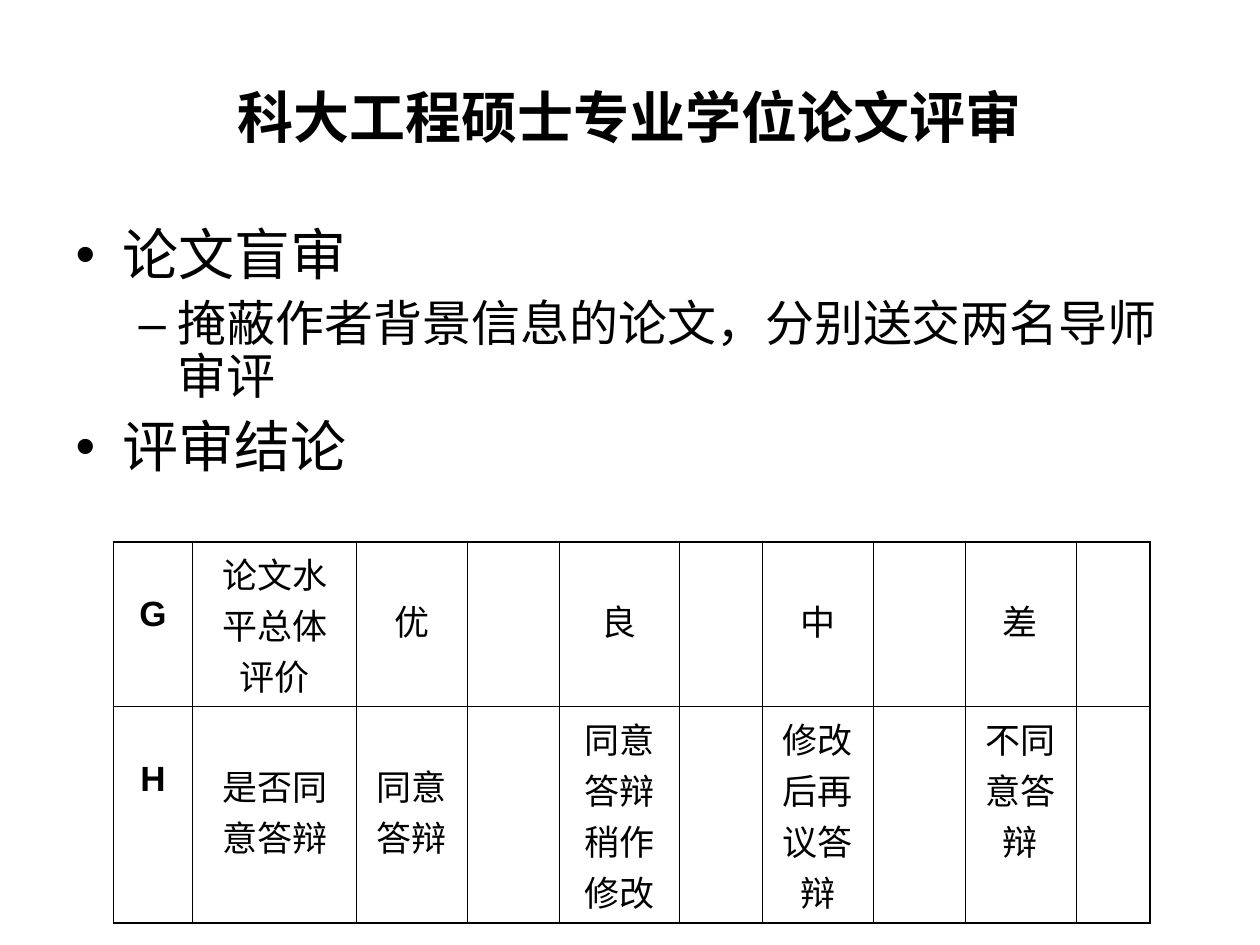
from dataclasses import dataclass

from lxml.etree import SubElement
from pptx import Presentation
from pptx.dml.color import RGBColor
from pptx.enum.text import MSO_ANCHOR, PP_ALIGN
from pptx.oxml.ns import qn
from pptx.util import Inches, Pt


@dataclass(frozen=True)
class Theme:
    font: str = "Arial"
    ink: str = "000000"
    title: int = 32
    levels: tuple = (32, 28)
    level_gaps: tuple = (8, 7)
    cell: int = 20
    outer: float = 1.08
    inner: float = 0.45


THEME = Theme()
BODY = [
    (0, "论文盲审"),
    (1, "掩蔽作者背景信息的论文，分别送交两名导师审评"),
    (0, "评审结论"),
]
COL_WIDTHS = [0.63, 1.3, 0.88, 0.73, 0.95, 0.66, 0.88, 0.73, 0.88, 0.59]
ROW_HEIGHTS = [1.1, 1.51]
REVIEW_ROWS = [
    ["G", "论文水平总体评价", "优", "", "良", "", "中", "", "差", ""],
    ["H", "是否同意答辩", "同意答辩", "", "同意答辩稍作修改", "",
     "修改后再议答辩", "", "不同意答辩", ""],
]
LOWERED = {(0, 0), (0, 2), (0, 4), (0, 6), (0, 8), (1, 0), (1, 1), (1, 2)}
PAD, LOWERED_PAD = 0.05, 0.42


def set_attrs(obj, values):
    for name, value in values.items():
        setattr(obj, name, value)


def place(sp, left, top, width, height):
    set_attrs(sp, {"left": Inches(left), "top": Inches(top),
                   "width": Inches(width), "height": Inches(height)})


def add_text(p, text, size, bold=False):
    r = p.add_run()
    r.text = text
    set_attrs(r.font, {"name": THEME.font, "size": Pt(size), "bold": bold})
    r.font.color.rgb = RGBColor.from_string(THEME.ink)


def add_title(s, text):
    sp = s.shapes.title
    place(sp, 0.5, 0.3, 9, 1.25)
    tf = sp.text_frame
    tf.vertical_anchor = MSO_ANCHOR.MIDDLE
    p = tf.paragraphs[0]
    p.alignment = PP_ALIGN.CENTER
    add_text(p, text, THEME.title, bold=True)


def add_body(s, items):
    sp = s.placeholders[1]
    place(sp, 0.5, 1.75, 9, 2.24)
    tf = sp.text_frame
    for i, (level, text) in enumerate(items):
        p = tf.add_paragraph() if i else tf.paragraphs[0]
        set_attrs(p, {"level": level, "line_spacing": 0.9,
                      "space_before": Pt(THEME.level_gaps[level])})
        add_text(p, text, THEME.levels[level])


def set_borders(cell, outer_sides):
    tcPr = cell._tc.get_or_add_tcPr()
    for side in "LRTB":
        width = THEME.outer if side in outer_sides else THEME.inner
        ln = SubElement(tcPr, qn(f"a:ln{side}"), w=str(Pt(width)))
        fill = SubElement(ln, qn("a:solidFill"))
        SubElement(fill, qn("a:srgbClr"), val=THEME.ink)


def fill_cell(cell, text, lowered, bold):
    set_attrs(cell, {"margin_left": Inches(0.1), "margin_right": Inches(0.1),
                     "margin_top": Inches(LOWERED_PAD if lowered else PAD),
                     "margin_bottom": Inches(PAD),
                     "vertical_anchor": MSO_ANCHOR.TOP})
    cell.fill.background()
    if text:
        p = cell.text_frame.paragraphs[0]
        p.alignment = PP_ALIGN.CENTER
        add_text(p, text, THEME.cell, bold)


def add_review_table(s, rows):
    n_rows, n_cols = len(rows), len(COL_WIDTHS)
    table = s.shapes.add_table(
        n_rows, n_cols, Inches(0.9), Inches(4.3),
        Inches(sum(COL_WIDTHS)), Inches(sum(ROW_HEIGHTS))).table
    set_attrs(table, {"first_row": False, "horz_banding": False})
    for col, width in zip(table.columns, COL_WIDTHS):
        col.width = Inches(width)
    for row, height in zip(table.rows, ROW_HEIGHTS):
        row.height = Inches(height)
    for i, texts in enumerate(rows):
        for j, text in enumerate(texts):
            cell = table.cell(i, j)
            edges = {"L": j == 0, "R": j == n_cols - 1,
                     "T": i == 0, "B": i == n_rows - 1}
            set_borders(cell, [side for side, on in edges.items() if on])
            fill_cell(cell, text, (i, j) in LOWERED, bold=j == 0)


def main():
    prs = Presentation()
    set_attrs(prs, {"slide_width": Inches(10), "slide_height": Inches(7.5)})
    s = prs.slides.add_slide(prs.slide_layouts[1])
    add_title(s, "科大工程硕士专业学位论文评审")
    add_body(s, BODY)
    add_review_table(s, REVIEW_ROWS)
    prs.save("out.pptx")


if __name__ == "__main__":
    main()
